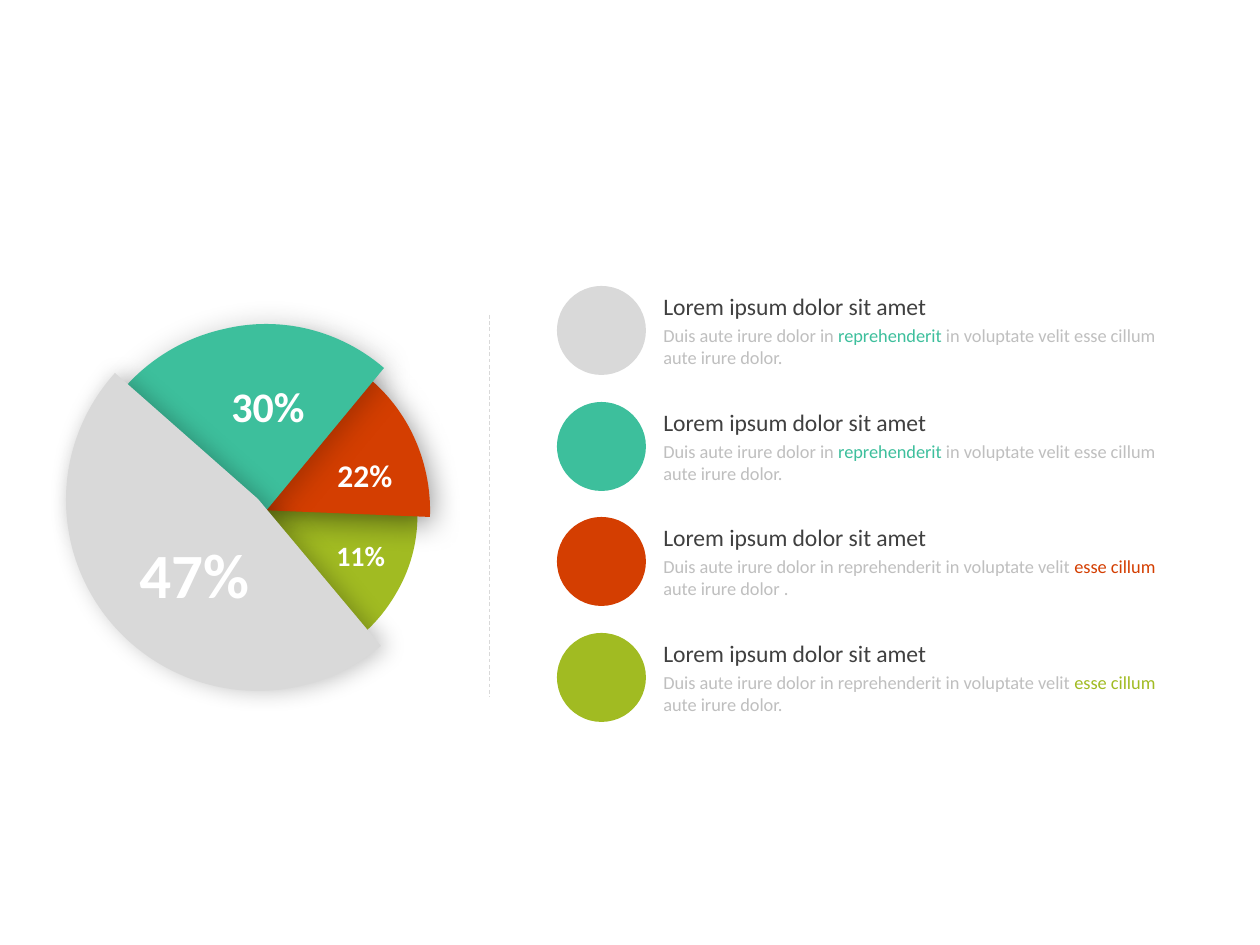
"""Build a slide with a four-part pie and a matching legend."""
from dataclasses import dataclass

from lxml.etree import SubElement
from pptx import Presentation
from pptx.dml.color import RGBColor
from pptx.enum.dml import MSO_LINE
from pptx.enum.shapes import MSO_CONNECTOR, MSO_SHAPE
from pptx.enum.text import MSO_AUTO_SIZE
from pptx.oxml.ns import qn
from pptx.util import Emu, Pt


@dataclass(frozen=True)
class Theme:
    font: str = "Calibri"
    gray: str = "D9D9D9"
    teal: str = "3DBF9C"
    red: str = "D43E01"
    green: str = "A1BB22"
    white: str = "FFFFFF"
    heading: str = "404040"
    body: str = "BFBFBF"
    heading_size: float = 13.5
    body_size: float = 10.5


THEME = Theme()
PX = 914400 // 126
SLIDE_SIZE = (1260, 945)

# Each wedge: colour, shadow (opacity, blur, direction), start, segments of one or three points.
WEDGES = [
    (THEME.green, None, (271, 672), [
        [(262, 517)],
        [(275, 362)],
        [(296, 363), (318, 369), (338, 381)],
        [(413, 422), (440, 518), (397, 592)],
        [(370, 640), (323, 668), (271, 672)],
    ]),
    (THEME.red, (50, 18, 90), (291, 340), [
        [(315, 345), (338, 355), (358, 370)],
        [(407, 404), (432, 461), (430, 517)],
        [(257, 510)],
    ]),
    (THEME.teal, (23, 18, 45), (78, 522), [
        [(73, 431), (134, 349), (224, 329)],
        [(282, 315), (341, 331), (384, 368)],
        [(265, 512)],
    ]),
    (THEME.gray, (23, 13, 0), (115, 373), [
        [(258, 499)],
        [(381, 646)],
        [(360, 663), (336, 677), (309, 684)],
        [(207, 712), (102, 653), (73, 551)],
        [(55, 485), (73, 420), (115, 373)],
    ]),
]
SHADOW_DISTANCE = 3

PERCENTAGES = [
    ("47%", 36, (127, 529, 136, 89)),
    ("11%", 16, (324, 532, 74, 47)),
    ("22%", 18, (325, 450, 81, 50)),
    ("30%", 24, (219, 374, 100, 63)),
]

HEADING = "Lorem ipsum dolor sit amet"
LEGEND = [
    (THEME.gray, "Duis aute irure dolor in ", "reprehenderit", THEME.teal,
     " in voluptate velit esse cillum aute irure dolor."),
    (THEME.teal, "Duis aute irure dolor in ", "reprehenderit", THEME.teal,
     " in voluptate velit esse cillum aute irure dolor."),
    (THEME.red, "Duis aute irure dolor in reprehenderit in voluptate velit ",
     "esse cillum ", THEME.red, "aute irure dolor ."),
    (THEME.green, "Duis aute irure dolor in reprehenderit in voluptate velit ",
     "esse cillum ", THEME.green, "aute irure dolor."),
]
LEGEND_TOP, LEGEND_BOTTOM = 286, 633
CIRCLE_LEFT, CIRCLE_SIZE = 557, 89
TEXT_LEFT, BODY_OFFSET = 651, 32
DIVIDER = (489, 315, 489, 697)


def emu(*lengths):
    return [Emu(length * PX) for length in lengths]


def paint(shape, color):
    shape.shadow.inherit = False
    shape.fill.solid()
    shape.fill.fore_color.rgb = RGBColor.from_string(color)
    shape.line.fill.background()


def add_shadow(shape, opacity, blur, direction):
    effects = shape._element.spPr.find(qn("a:effectLst"))
    shadow = SubElement(effects, qn("a:outerShdw"), blurRad=str(Pt(blur)),
                        dist=str(Pt(SHADOW_DISTANCE)), dir=str(direction * 60000),
                        algn="ctr", rotWithShape="0")
    color = SubElement(shadow, qn("a:srgbClr"), val="000000")
    SubElement(color, qn("a:alpha"), val=str(opacity * 1000))


def add_wedge(page, color, shadow, start, segments):
    builder = page.shapes.build_freeform(*start, scale=PX)
    builder.add_line_segments([point for segment in segments for point in segment])
    wedge = builder.convert_to_shape()
    path = next(wedge._element.iter(qn("a:path")))
    lines = iter(path.findall(qn("a:lnTo")))
    for segment in segments:
        first = next(lines)
        if len(segment) == 3:
            first.tag = qn("a:cubicBezTo")
            for _ in segment[1:]:
                extra = next(lines)
                first.append(extra[0])
                path.remove(extra)
    paint(wedge, color)
    if shadow:
        add_shadow(wedge, *shadow)


def add_text(shapes, frame, size, spans, bold=False, wrap=True):
    box = shapes.add_textbox(*emu(*frame))
    box.text_frame.word_wrap = wrap
    box.text_frame.auto_size = MSO_AUTO_SIZE.SHAPE_TO_FIT_TEXT
    para = box.text_frame.paragraphs[0]
    para.font.name, para.font.size, para.font.bold = THEME.font, Pt(size), bold
    for text, color in spans:
        span = para.add_run()
        span.text = text
        span.font.color.rgb = RGBColor.from_string(color)


def add_divider(page):
    divider = page.shapes.add_connector(MSO_CONNECTOR.STRAIGHT, *emu(*DIVIDER))
    divider.line.color.rgb = RGBColor.from_string(THEME.gray)
    divider.line.width = Pt(0.5)
    divider.line.dash_style = MSO_LINE.DASH
    SubElement(divider._element.spPr, qn("a:effectLst"))


def add_legend_item(page, top, color, before, accent, accent_color, after):
    shapes = page.shapes.add_group_shape().shapes
    circle = shapes.add_shape(
        MSO_SHAPE.OVAL, *emu(CIRCLE_LEFT, top, CIRCLE_SIZE, CIRCLE_SIZE))
    paint(circle, color)
    add_text(shapes, (TEXT_LEFT, top, 431, 42), THEME.heading_size,
             [(HEADING, THEME.heading)])
    add_text(shapes, (TEXT_LEFT, top + BODY_OFFSET, 539, 57), THEME.body_size,
             [(before, THEME.body), (accent, accent_color), (after, THEME.body)])


def main():
    deck = Presentation()
    deck.slide_width, deck.slide_height = emu(*SLIDE_SIZE)
    page = deck.slides.add_slide(deck.slide_layouts[6])
    for wedge in WEDGES:
        add_wedge(page, *wedge)
    for text, size, frame in PERCENTAGES:
        add_text(page.shapes, frame, size, [(text, THEME.white)], bold=True, wrap=False)
    add_divider(page)
    pitch = (LEGEND_BOTTOM - LEGEND_TOP) / (len(LEGEND) - 1)
    for index, item in enumerate(LEGEND):
        add_legend_item(page, round(LEGEND_TOP + index * pitch), *item)
    deck.save("out.pptx")


if __name__ == "__main__":
    main()
